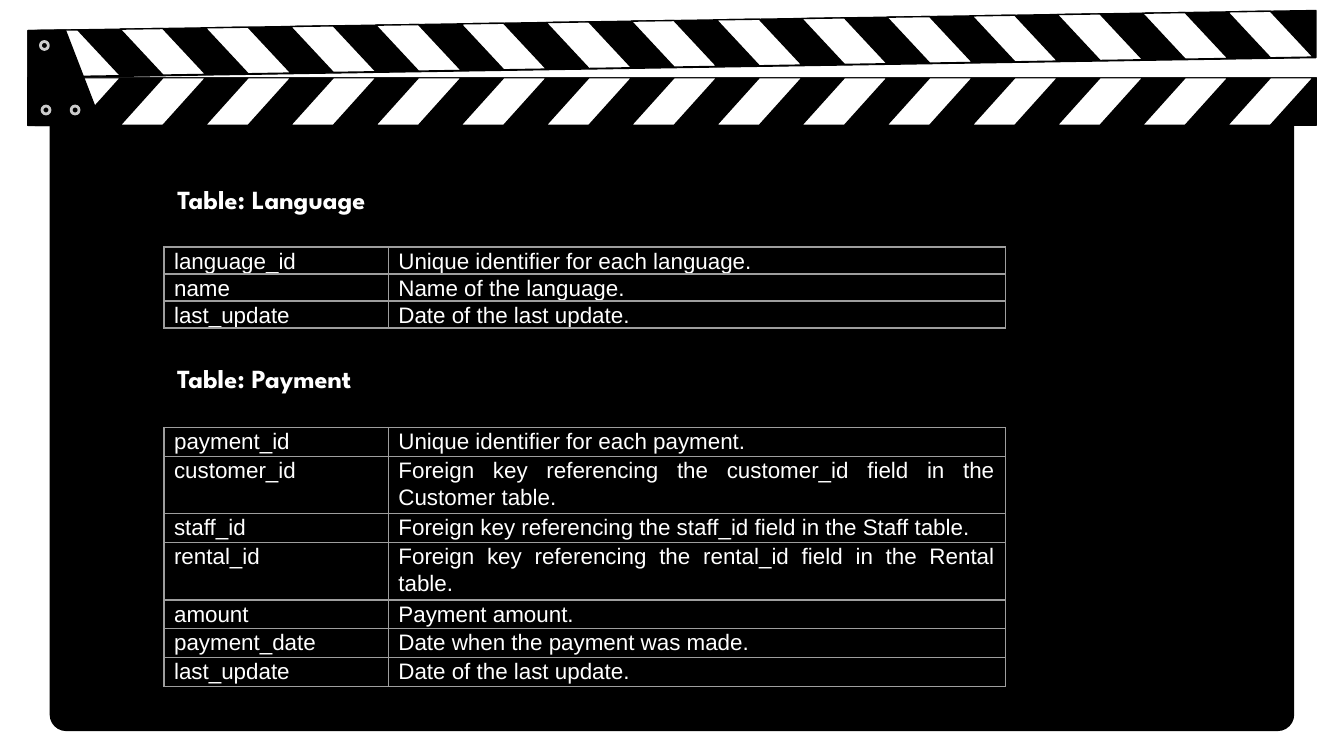
"""Build a clapperboard slide that describes the Language and Payment tables."""
import dataclasses
import itertools

import lxml.etree
import pptx
import pptx.dml.color
import pptx.enum.shapes
import pptx.enum.text
import pptx.oxml.ns
import pptx.util

Cm = pptx.util.Cm
Pt = pptx.util.Pt
qn = pptx.oxml.ns.qn
SHAPE = pptx.enum.shapes.MSO_SHAPE
ALIGN = pptx.enum.text.PP_ALIGN

COLORS = {"black": "000000", "white": "FFFFFF", "seam": "171717",
          "screw": "CCCCCC", "border": "9E9E9E"}
LEFT, RIGHT, SEAM, BASE = 0.53, 24.87, 1.47, 2.37
STRIPES, STRIPE_START, STRIPE_PITCH, STRIPE_W = 15, 0.66, 1.61, 0.81
SCREW_D = 0.15
SCREWS = [(0.84, 0.86), (0.87, 2.08), (1.42, 2.08)]
TABLE_X, COLUMNS = 3.1, (4.24, 11.66)


@dataclasses.dataclass
class Field:
    name: str
    description: str
    lines: int = 1


@dataclasses.dataclass
class FieldTable:
    top: float
    line_height: float
    fields: list[Field]


LANGUAGE = FieldTable(4.67, 0.51, [
    Field("language_id", "Unique identifier for each language."),
    Field("name", "Name of the language."),
    Field("last_update", "Date of the last update."),
])
PAYMENT = FieldTable(8.08, 0.54, [
    Field("payment_id", "Unique identifier for each payment."),
    Field("customer_id", "Foreign key referencing the customer_id field in the Customer table.", 2),
    Field("staff_id", "Foreign key referencing the staff_id field in the Staff table."),
    Field("rental_id", "Foreign key referencing the rental_id field in the Rental table.", 2),
    Field("amount", "Payment amount."),
    Field("payment_date", "Date when the payment was made."),
    Field("last_update", "Date of the last update."),
])


def rgb(name: str) -> pptx.dml.color.RGBColor:
    return pptx.dml.color.RGBColor.from_string(COLORS[name])


def paint(sp, fill: str, line: str = "black", width: float = 0.75) -> None:
    sp.shadow.inherit = False
    sp.fill.solid()
    sp.fill.fore_color.rgb = rgb(fill)
    sp.line.color.rgb = rgb(line)
    sp.line.width = Pt(width)


def add_polygon(s, points: list[tuple[float, float]], fill: str) -> None:
    start, *rest = [(Cm(x), Cm(y)) for x, y in points]
    builder = s.shapes.build_freeform(*start)
    builder.add_line_segments(rest, close=True)
    paint(builder.convert_to_shape(), fill)


def arm_y(x: float) -> float:
    return 0.58 - 0.38 * (x - LEFT) / (RIGHT - LEFT)


def add_clapper(s) -> None:
    sp = s.shapes.add_shape(SHAPE.ROUNDED_RECTANGLE, Cm(0.94), Cm(1.83), Cm(23.52), Cm(11.99))
    sp.adjustments[0] = 0.026
    paint(sp, "black")
    sp.line.fill.background()

    add_polygon(s, [(LEFT, SEAM), (LEFT, BASE), (RIGHT, BASE), (RIGHT, SEAM)], "black")
    add_polygon(s, [(RIGHT, arm_y(RIGHT)), (LEFT, arm_y(LEFT)),
                    (LEFT, arm_y(LEFT) + 0.89), (RIGHT, arm_y(RIGHT) + 0.89)], "black")
    for i in range(STRIPES):
        x0 = STRIPE_START + i * STRIPE_PITCH
        x1, x2 = x0 + STRIPE_W, x0 + 2 * STRIPE_W
        add_polygon(s, [(x1, SEAM), (x0, BASE), (x1, BASE), (x2, SEAM)], "white")
        add_polygon(s, [(x1, arm_y(x1)), (x0, arm_y(x0)),
                        (x1, arm_y(x1) + 0.88), (x2, arm_y(x2) + 0.88)], "white")

    seam = s.shapes.add_connector(pptx.enum.shapes.MSO_CONNECTOR.STRAIGHT,
                                  Cm(LEFT), Cm(SEAM), Cm(RIGHT), Cm(SEAM))
    seam.line.color.rgb = rgb("seam")
    seam.line.width = Pt(0.48)
    lxml.etree.SubElement(seam.element.spPr, qn("a:effectLst"))

    add_polygon(s, [(LEFT, 0.58), (LEFT, BASE), (1.93, BASE), (1.24, 0.58)], "black")
    for x, y in SCREWS:
        sp = s.shapes.add_shape(SHAPE.OVAL, Cm(x - SCREW_D / 2), Cm(y - SCREW_D / 2),
                                Cm(SCREW_D), Cm(SCREW_D))
        paint(sp, "black", "screw", 1.5)


def add_run(p, text: str, font: str, size: float, bold: bool = False) -> None:
    r = p.add_run()
    r.text = text
    r.font.name, r.font.size, r.font.bold = font, Pt(size), bold
    r.font.color.rgb = rgb("white")


def format_heading(sp, text: str, top: float, width: float) -> None:
    sp.left, sp.top, sp.width, sp.height = Cm(TABLE_X), Cm(top), Cm(width), Cm(0.86)
    tf = sp.text_frame
    tf.word_wrap = True
    tf.auto_size = pptx.enum.text.MSO_AUTO_SIZE.SHAPE_TO_FIT_TEXT
    tf.vertical_anchor = pptx.enum.text.MSO_ANCHOR.MIDDLE
    p = tf.paragraphs[0]
    p.alignment = ALIGN.LEFT
    add_run(p, text, "League Spartan", 14, True)


def add_borders(cell) -> None:
    tcPr = cell._tc.get_or_add_tcPr()
    for side in ("lnL", "lnR", "lnT", "lnB"):
        ln = lxml.etree.SubElement(tcPr, qn(f"a:{side}"), w=str(Pt(0.75)))
        fill = lxml.etree.SubElement(ln, qn("a:solidFill"))
        lxml.etree.SubElement(fill, qn("a:srgbClr"), val=COLORS["border"])


def fill_cell(cell, text: str) -> None:
    add_borders(cell)
    cell.fill.background()
    cell.margin_left = cell.margin_right = Cm(0.19)
    cell.margin_top = cell.margin_bottom = Cm(0)
    p = cell.text_frame.paragraphs[0]
    p.alignment = ALIGN.JUSTIFY
    p.line_spacing = 1.07
    p.space_after = Pt(8)
    add_run(p, text, "Arial", 12)


def add_field_table(s, spec: FieldTable) -> None:
    heights = [spec.line_height * field.lines for field in spec.fields]
    table = s.shapes.add_table(len(heights), len(COLUMNS), Cm(TABLE_X), Cm(spec.top),
                               Cm(sum(COLUMNS)), Cm(sum(heights))).table
    table.first_row = table.horz_banding = False
    for column, width in zip(table.columns, COLUMNS):
        column.width = Cm(width)
    for row, height, field in zip(table.rows, heights, spec.fields):
        row.height = Cm(height)
        for cell, text in zip(row.cells, (field.name, field.description)):
            fill_cell(cell, text)


def main() -> None:
    prs = pptx.Presentation()
    prs.slide_width, prs.slide_height = Cm(25.4), Cm(14.29)
    s = prs.slides.add_slide(prs.slide_layouts[5])
    add_clapper(s)
    add_field_table(s, LANGUAGE)
    title = s.shapes.title
    title.element.getparent().append(title.element)
    format_heading(title, "Table: Language", 3.33, 4.55)
    add_field_table(s, PAYMENT)
    sp = s.shapes.add_textbox(Cm(TABLE_X), Cm(6.71), Cm(6.22), Cm(0.86))
    format_heading(sp, "Table: Payment", 6.71, 6.22)
    prs.save("out.pptx")


main()
